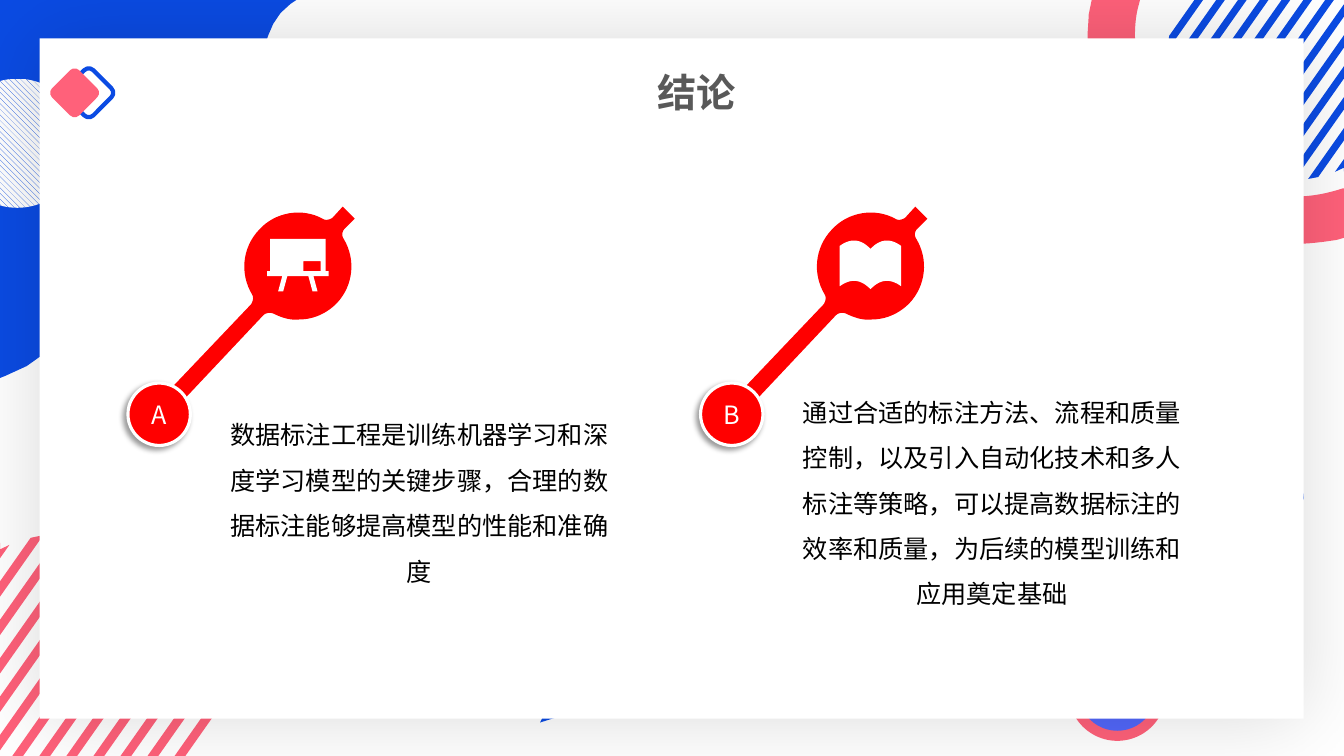
import math
from dataclasses import dataclass

import pptx
import pptx.dml.color
import pptx.enum.dml
import pptx.enum.shapes
import pptx.enum.text
import pptx.oxml
import pptx.oxml.ns
import pptx.util
from lxml import etree


@dataclass(frozen=True)
class Theme:
    blue: str = "0B4BE3"
    pink: str = "FF617A"
    violet: str = "5267FA"
    red: str = "FF0000"
    white: str = "FFFFFF"
    black: str = "000000"
    grey: str = "595959"
    font: str = "Noto Sans CJK SC"
    title_size: int = 28
    body_size: int = 18


theme = Theme()
Pt = pptx.util.Pt
RGB = pptx.dml.color.RGBColor.from_string
Kind = pptx.enum.shapes.MSO_SHAPE
Anchor = pptx.enum.text.MSO_ANCHOR
qn = pptx.oxml.ns.qn

deck = pptx.Presentation()
deck.slide_width, deck.slide_height = Pt(960), Pt(540)
slide = deck.slides.add_slide(deck.slide_layouts[6])
shapes = slide.shapes


def paint(shape, fill=None, line=None, width=1, turn=0):
    shape.shadow.inherit = False
    shape.rotation = turn
    if fill:
        shape.fill.solid()
        shape.fill.fore_color.rgb = RGB(fill)
    else:
        shape.fill.background()
    if line:
        shape.line.color.rgb = RGB(line)
        shape.line.width = Pt(width)
    else:
        shape.line.fill.background()
    return shape


def outline(contours, fill, shift=0):
    builder = None
    for contour in contours:
        points = []
        for step in contour:
            if len(step) == 2:
                points.append(step)
                continue
            x0, y0 = points[-1]
            x1, y1, x2, y2, x3, y3 = step
            for t in (i / 16 for i in range(1, 17)):
                a, b, c, d = (1 - t) ** 3, 3 * t * (1 - t) ** 2, 3 * t * t * (1 - t), t ** 3
                points.append((a * x0 + b * x1 + c * x2 + d * x3, a * y0 + b * y1 + c * y2 + d * y3))
        start, *rest = [(Pt(x + shift), Pt(y)) for x, y in points]
        if builder is None:
            builder = shapes.build_freeform(*start)
        else:
            builder.move_to(*start)
        builder.add_line_segments(rest, close=True)
    return paint(builder.convert_to_shape(), fill)


corner_blob = [(0, 0), (211.7, 0), (207.4, 2.9), (164.9, 33.1, 212.4, 128.9, 113, 136.8),
               (-0.7, 142.6, 97.9, 234, 3.6, 268.6), (0, 270)]
outline([corner_blob], theme.blue)

hatched_disc = paint(shapes.add_shape(Kind.OVAL, Pt(-33.8), Pt(56.2), Pt(92.2), Pt(92.2)))
hatched_disc.fill.patterned()
hatched_disc.fill.pattern = pptx.enum.dml.MSO_PATTERN.WIDE_DOWNWARD_DIAGONAL
hatched_disc.fill.fore_color.rgb = RGB(theme.blue)
hatched_disc.fill.back_color.rgb = RGB(theme.white)

for kind, x, y, w, h, fill, line, turn in [
    (Kind.OVAL, 763.2, 459.4, 69.8, 69.8, theme.pink, None, 0),
    (Kind.OVAL, 770.4, 466.6, 55.4, 55.4, theme.violet, None, 0),
    (Kind.RIGHT_TRIANGLE, 378, 465.8, 44.6, 44.6, theme.blue, None, 252.5),
    (Kind.CAN, 877.7, 326.2, 42.5, 56.9, theme.pink, theme.blue, 52),
]:
    paint(shapes.add_shape(kind, Pt(x), Pt(y), Pt(w), Pt(h)), fill, line, turn=turn)

corner_ring = [(779.8, 0), (814.3, 0), (813.6, 2.9), (811.4, 10.1, 810.7, 18, 810.7, 25.9),
               (810.7, 89.3, 861.8, 140.4, 925.2, 140.4), (936.7, 140.4, 948.2, 138.2, 959, 134.6),
               (960, 134.6), (960, 169.9), (954.7, 171.4), (945.4, 172.8, 935.3, 174.2, 925.2, 174.2),
               (843.1, 174.2, 776.9, 108, 776.9, 25.9), (776.9, 20.9, 777.6, 15.8, 777.6, 10.8)]
outline([corner_ring], theme.pink)

slant = 0.704
for corner_x, corner_y, way, disc_x, disc_y, radius, first, gap, breadth, fill in [
    (0, 540, 1, 48.2, 488.9, 108, 132.4, 19.32, 7.7, theme.pink),
    (960, 0, -1, 921.6, 41, 87.8, 106.8, 15.57, 6.2, theme.blue),
]:
    stripes = []
    for i in range(13):
        ends = []
        for offset in (first - i * gap, first - i * gap - breadth):
            x = corner_x + way * max(offset, 0)
            y = corner_y - way * max(-offset, 0) / slant
            dx, dy = x - disc_x, y - disc_y
            half = way * (dx * slant - dy)
            square = slant ** 2 + 1
            reach = (-half + math.sqrt(half ** 2 - square * (dx ** 2 + dy ** 2 - radius ** 2))) / square
            ends.append(((x, y), (x + way * slant * reach, y - way * reach)))
        (outer_edge, outer_rim), (inner_edge, inner_rim) = ends
        stripes.append([outer_edge, outer_rim, inner_rim, inner_edge])
    outline(stripes, fill)

panel = paint(shapes.add_shape(Kind.RECTANGLE, Pt(28.4), Pt(27.4), Pt(902.9), Pt(486)), theme.white)
shadows = [(panel, 60, 0, 0, 15)]

for x, fill, line in [(49.7, None, theme.blue), (39.6, theme.pink, None)]:
    paint(shapes.add_shape(Kind.ROUNDED_RECTANGLE, Pt(x), Pt(52.6), Pt(27.4), Pt(27.4)),
          fill, line, 3, 45)

title = shapes.add_textbox(Pt(81.4), Pt(45.4), Pt(832.3), Pt(41))
texts = [(title, "结论", theme.title_size, theme.grey, True, Anchor.TOP, None)]

handle = [(240.5, 216.7), (252.7, 203.8, 254.2, 185, 245.5, 170.6),
          (244.1, 168.5, 244.1, 165.6, 246.2, 163.4), (253.4, 156.2), (244.8, 147.6), (237.6, 155.5),
          (235.4, 157, 232.6, 157.7, 230.4, 156.2), (216, 148.3, 196.6, 151.2, 185, 164.2),
          (172.8, 177.1, 171.4, 195.8, 180, 210.2), (181.4, 212.4, 180.7, 215.3, 179.3, 217.4),
          (122.4, 277.2), (131, 285.8), (187.9, 225.4), (190.1, 223.2, 193, 223.2, 195.1, 223.9),
          (200.9, 226.8, 207.4, 229, 213.8, 228.2), (223.9, 228.2, 233.3, 223.9, 240.5, 216.7)]
board = [[(234.7, 193.7), (232.6, 193.7), (232.6, 170.6), (192.9, 170.6), (192.9, 193.7),
          (190.8, 193.7), (190.8, 197.3), (201.6, 197.3), (198.7, 208.1), (202.3, 208.1),
          (205.2, 197.3), (220.3, 197.3), (223.2, 208.1), (226.8, 208.1), (223.9, 197.3),
          (234.7, 197.3)],
         [(229, 193.7), (216.7, 193.7), (216.7, 186.5), (229, 186.5)]]
book = [[(621.8, 177.8), (614.9, 170.6, 607.7, 169.9, 599.8, 175.7), (599.8, 204.5),
         (607.7, 198.7, 614.9, 199.4, 621.8, 206.6), (628.6, 199.4, 635.8, 198.7, 643.7, 204.5),
         (643.7, 175.7), (635.8, 169.9, 628.6, 170.6, 621.8, 177.8)]]

conclusions = [
    ("A", board, "数据标注工程是训练机器学习和深度学习模型的关键步骤，合理的数据标注能够提高模型的性能和准确度"),
    ("B", book, "通过合适的标注方法、流程和质量控制，以及引入自动化技术和多人标注等策略，"
                "可以提高数据标注的效率和质量，为后续的模型训练和应用奠定基础"),
]
for i, (letter, icon, statement) in enumerate(conclusions):
    shift = i * 409
    outline([handle], theme.red, shift)
    badge = paint(shapes.add_shape(Kind.OVAL, Pt(91.4 + shift), Pt(273.6), Pt(44.6), Pt(44.6)),
                  theme.red, theme.white, 2.25)
    outline(icon, theme.white)
    body = shapes.add_textbox(Pt(150.5 + shift), Pt(253.4), Pt(298.1), Pt(200.9))
    shadows.append((badge, 4, 3, 135, 40))
    texts.append((badge, letter, theme.body_size, theme.white, False, Anchor.MIDDLE, None))
    texts.append((body, statement, theme.body_size, theme.black, False, Anchor.MIDDLE, 1.5))

for holder, words, size, colour, bold, anchor, spacing in texts:
    frame = holder.text_frame
    frame.word_wrap = True
    frame.vertical_anchor = anchor
    paragraph = frame.paragraphs[0]
    paragraph.text = words
    paragraph.alignment = pptx.enum.text.PP_ALIGN.CENTER
    paragraph.line_spacing = spacing
    paragraph.font.size = Pt(size)
    paragraph.font.bold = bold
    paragraph.font.color.rgb = RGB(colour)
    paragraph.font.name = theme.font
    etree.SubElement(paragraph.font._rPr, qn("a:ea"), typeface=theme.font)

for caster, blur, distance, angle, opacity in shadows:
    effects = caster.element.spPr.find(qn("a:effectLst"))
    shade = etree.SubElement(effects, qn("a:outerShdw"), blurRad=str(Pt(blur)), dist=str(Pt(distance)),
                             dir=str(angle * 60000), algn="ctr", rotWithShape="0")
    tint = etree.SubElement(shade, qn("a:srgbClr"), val=theme.black)
    etree.SubElement(tint, qn("a:alpha"), val=str(opacity * 1000))

deck.save("out.pptx")
